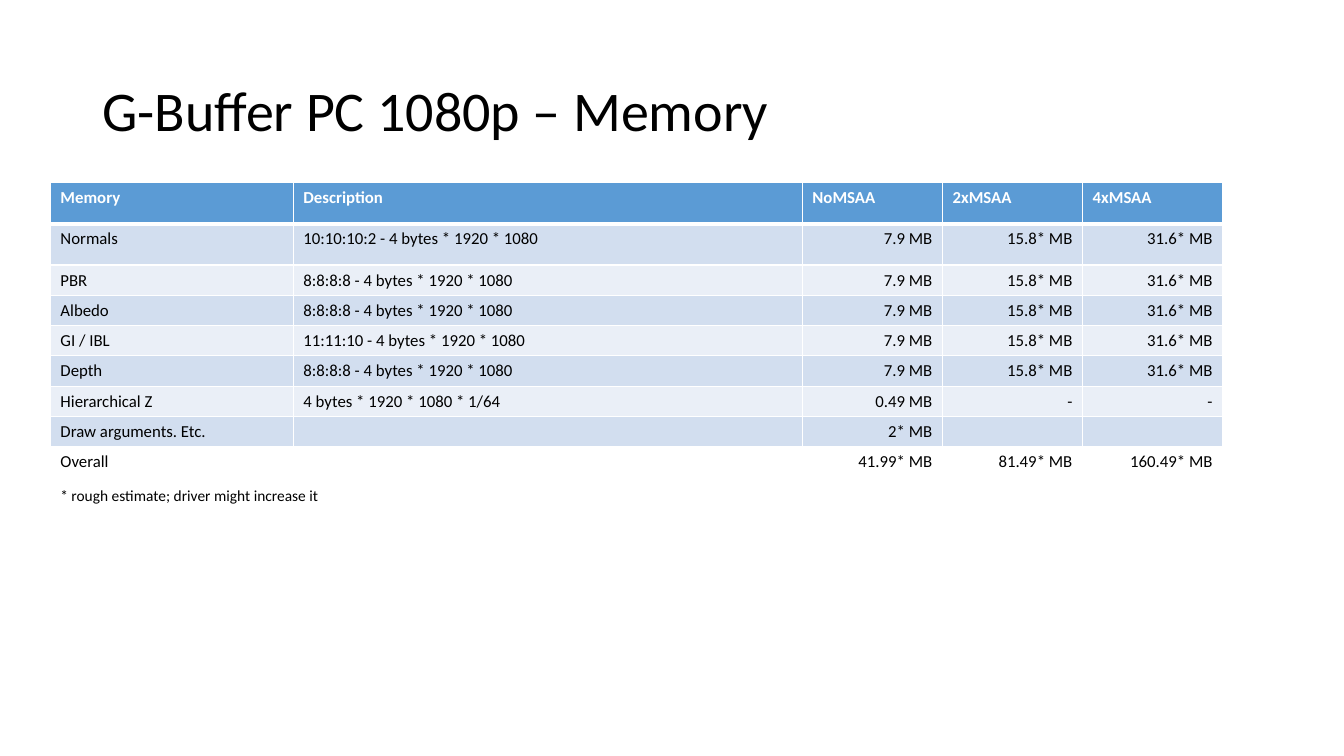
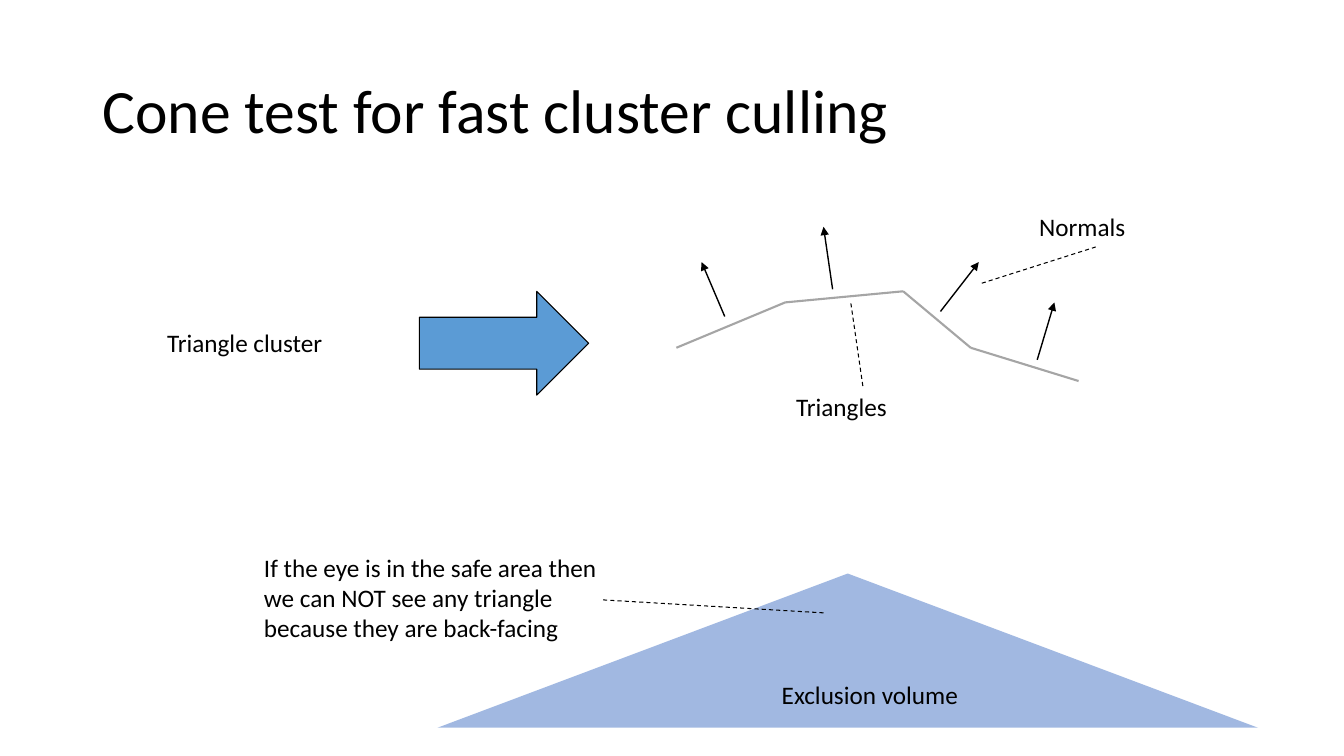
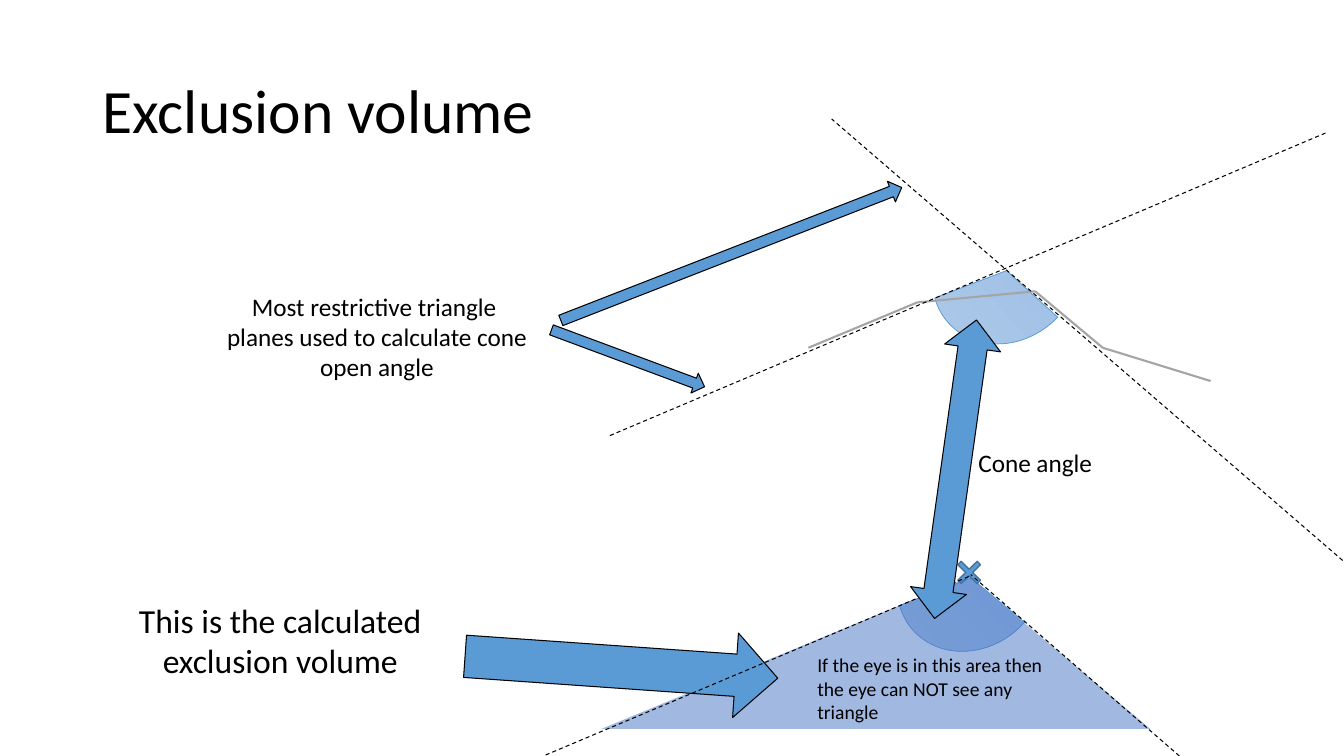
from itertools import pairwise

from pptx import Presentation
from pptx import util as u
from pptx.dml.color import RGBColor
from pptx.enum import dml, shapes, text
from pptx.oxml import parse_xml
from pptx.oxml.ns import nsdecls, qn

SCALE = 9144
FONT = "Calibri"
BLACK, WHITE, GREY = "000000", "FFFFFF", "A5A5A5"
BLUE, DARK_BLUE, VOLUME = "5B9BD5", "43739E", "4472C4"
BANDS = "D2DEEF", "EAEFF7"
ANGLE_GRADIENT = "B1CBE9", "93B9E4"
PRESET = shapes.MSO_SHAPE
ALIGN = text.PP_ALIGN
CLUSTER = [(671, 345), (779, 300), (896, 289), (963, 345), (1070, 378)]


def px(*lengths):
    return [u.Emu(length * SCALE) for length in lengths]


def color(value):
    return RGBColor.from_string(value)


def write(frame, content, size=18, fill=BLACK, bold=False, align=ALIGN.LEFT, spacing=None):
    for index, line in enumerate(content.split("\n")):
        paragraph = frame.add_paragraph() if index else frame.paragraphs[0]
        paragraph.alignment = align
        if spacing:
            paragraph.line_spacing = spacing
        if not line:
            paragraph._p.get_or_add_endParaRPr().set("sz", str(size * 100))
            continue
        run = paragraph.add_run()
        run.text = line
        run.font.name = FONT
        run.font.size = u.Pt(size)
        run.font.bold = bold
        run.font.color.rgb = color(fill)


class Deck:
    def __init__(self):
        self.presentation = Presentation()
        self.presentation.slide_width, self.presentation.slide_height = u.Inches(13.333), u.Inches(7.5)
        self.slide = None

    def new_slide(self, title, size=44):
        self.slide = self.presentation.slides.add_slide(self.presentation.slide_layouts[6])
        self.label(title, 92, 40, 1150, 145, size=size, spacing=0.9, anchor=text.MSO_ANCHOR.MIDDLE)

    def label(self, content, left, top, width, height, wrap=True,
              anchor=text.MSO_ANCHOR.TOP, **style):
        frame = self.slide.shapes.add_textbox(*px(left, top, width, height)).text_frame
        frame.word_wrap = wrap
        frame.vertical_anchor = anchor
        write(frame, content, **style)

    def shape(self, preset, left, top, width, height, fill=BLUE, line=BLACK, weight=0.75,
              rotation=0, adjustments=(), alpha=None):
        shape = self.slide.shapes.add_shape(preset, *px(left, top, width, height))
        shape.shadow.inherit = False
        shape.rotation = rotation
        for index, value in enumerate(adjustments):
            shape.adjustments[index] = value
        if isinstance(fill, tuple):
            shape.fill.gradient()
            shape.fill.gradient_angle = 270
            for stop, value in zip(shape.fill.gradient_stops, fill):
                stop.color.rgb = color(value)
        else:
            shape.fill.solid()
            shape.fill.fore_color.rgb = color(fill)
        if alpha:
            value = shape._element.spPr.find(".//" + qn("a:srgbClr"))
            value.append(parse_xml(f'<a:alpha {nsdecls("a")} val="{alpha * 1000}"/>'))
        if line:
            shape.line.color.rgb = color(line)
            shape.line.width = u.Pt(weight)
        else:
            shape.line.fill.background()

    def volume(self, left, top, width, height, apex=0.5):
        self.shape(PRESET.ISOSCELES_TRIANGLE, left, top, width, height,
                   fill=VOLUME, line=None, adjustments=[apex], alpha=50)

    def line(self, start, end, stroke=BLACK, weight=0.75, dashed=False, arrow=False):
        connector = self.slide.shapes.add_connector(
            shapes.MSO_CONNECTOR.STRAIGHT, *px(*start, *end))
        connector.line.color.rgb = color(stroke)
        connector.line.width = u.Pt(weight)
        if dashed:
            connector.line.dash_style = dml.MSO_LINE.DASH
        properties = connector._element.spPr
        if arrow:
            properties.get_or_add_ln().append(
                parse_xml(f'<a:tailEnd {nsdecls("a")} type="triangle"/>'))
        properties.append(parse_xml(f'<a:effectLst {nsdecls("a")}/>'))

    def dashes(self, *ends):
        for start, end in ends:
            self.line(start, end, dashed=True)

    def cluster(self, shift=0):
        for (x1, y1), (x2, y2) in pairwise(CLUSTER):
            self.line((x1 + shift, y1), (x2 + shift, y2), stroke=GREY, weight=1.5)

    def borders(self, cell, top, bottom):
        properties = cell._tc.get_or_add_tcPr()
        for side, weight in zip("LRTB", (1, 1, top, bottom)):
            properties.append(parse_xml(
                f'<a:ln{side} {nsdecls("a")} w="{weight * 12700}"><a:solidFill>'
                f'<a:srgbClr val="{WHITE}"/></a:solidFill></a:ln{side}>'))

    def table(self, rows, left, top, widths, heights):
        table = self.slide.shapes.add_table(
            len(rows), len(widths), *px(left, top, sum(widths), sum(heights))).table
        table.horz_banding = False
        for column, width in zip(table.columns, px(*widths)):
            column.width = width
        for row, height in zip(table.rows, px(*heights)):
            row.height = height
        last = len(rows) - 1
        for index, row in enumerate(rows):
            header = index == 0
            fill = BLUE if header else WHITE if index == last else BANDS[(index - 1) % 2]
            for column, content in enumerate(row):
                cell = table.cell(index, column)
                self.borders(cell, 3 if index == 1 else 1, 3 if header else 1)
                cell.fill.solid()
                cell.fill.fore_color.rgb = color(fill)
                write(cell.text_frame, content, size=12, bold=header,
                      fill=WHITE if header else BLACK,
                      align=ALIGN.RIGHT if column > 1 and not header else ALIGN.LEFT)


def memory_slide(deck):
    deck.new_slide("G-Buffer PC 1080p – Memory", size=40)
    sizes = ["7.9 MB", "15.8* MB", "31.6* MB"]
    buffers = [("Normals", "10:10:10:2"), ("PBR", "8:8:8:8"), ("Albedo", "8:8:8:8"),
               ("GI / IBL", "11:11:10"), ("Depth", "8:8:8:8")]
    rows = [["Memory", "Description", "NoMSAA", "2xMSAA", "4xMSAA"]]
    rows += [[name, f"{bits} - 4 bytes * 1920 * 1080", *sizes] for name, bits in buffers]
    rows += [["Hierarchical Z", "4 bytes * 1920 * 1080 * 1/64", "0.49 MB", "-", "-"],
             ["Draw arguments. Etc.", "", "2* MB", "", ""],
             ["Overall", "", "41.99* MB", "81.49* MB", "160.49* MB"]]
    deck.table(rows, 50, 181, [241, 505] + [139] * 3, [41] * 2 + [30] * 7)
    deck.label("* rough estimate; driver might increase it", 50, 477, 279, 29, wrap=False, size=11)


def cone_test_slide(deck):
    deck.new_slide("Cone test for fast cluster culling")
    deck.volume(434, 569, 814, 153)
    deck.cluster()
    normals = [((719, 314), (696, 260)), ((826, 287), (817, 225)),
               ((933, 309), (971, 260)), ((1029, 357), (1046, 300))]
    for start, end in normals:
        deck.line(start, end, weight=1, arrow=True)
    deck.dashes(((856, 383), (844, 300)), ((974, 281), (1087, 245)), ((817, 608), (596, 595)))
    deck.label("Triangles", 780, 383, 153, 40)
    deck.label("Normals", 1021, 205, 132, 40)
    deck.label("If the eye is in the safe area then we can NOT see any triangle "
               "because they are back-facing", 252, 543, 385, 101)
    deck.label("Exclusion volume", 706, 669, 314, 40, align=ALIGN.CENTER)
    deck.label("Triangle cluster", 156, 320, 237, 40)
    deck.shape(PRESET.RIGHT_ARROW, 416, 289, 168, 103)


def exclusion_slide(deck):
    deck.new_slide("Exclusion volume")
    for left, top, start in [(895, 496, 102.96), (930, 191, 104.55)]:
        deck.shape(PRESET.PIE, left, top, 137, 155, fill=ANGLE_GRADIENT, line=BLUE, weight=0.5,
                   rotation=228, adjustments=[start, 174.68])
    deck.cluster(shift=131)
    deck.dashes(((1332, 556), (825, 118)))
    deck.label("This is the calculated exclusion volume", 80, 590, 396, 91,
               size=24, align=ALIGN.CENTER)
    deck.shape(PRESET.MATH_MULTIPLY, 943, 550, 37, 36, line=DARK_BLUE, weight=1,
               adjustments=[0.13])
    deck.volume(597, 572, 544, 151, apex=0.67)
    deck.label("If the eye is in this area then the eye can NOT see any triangle",
               801, 643, 271, 81, size=14)
    deck.shape(PRESET.RIGHT_ARROW, 461, 620, 311, 84, rotation=4)
    deck.label("Most restrictive triangle \nplanes used to calculate cone open angle",
               197, 284, 354, 101, align=ALIGN.CENTER)
    deck.shape(PRESET.RIGHT_ARROW, 542, 345, 162, 21, rotation=20.4)
    deck.shape(PRESET.RIGHT_ARROW, 544, 241, 363, 22, rotation=338.7)
    deck.dashes(((1315, 132), (603, 433)), ((961, 572), (539, 750)), ((1170, 750), (963, 570)))
    deck.shape(PRESET.UP_DOWN_ARROW, 920, 316, 56, 299, rotation=8, adjustments=[0.3, 0.52])
    deck.label("Cone angle", 850, 439, 354, 40, align=ALIGN.CENTER)


def main():
    deck = Deck()
    for build in (memory_slide, cone_test_slide, exclusion_slide):
        build(deck)
    deck.presentation.save("out.pptx")


if __name__ == "__main__":
    main()
